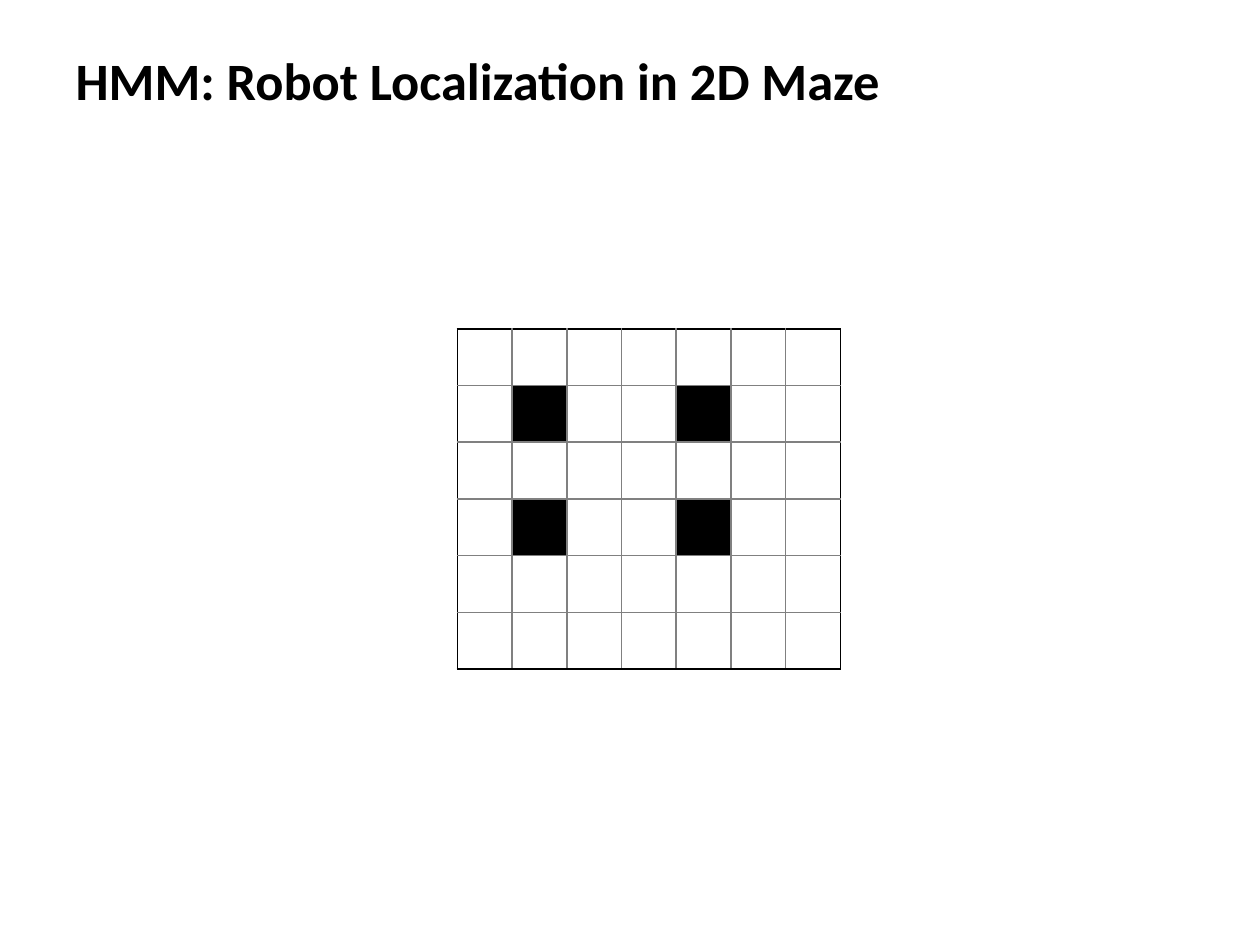
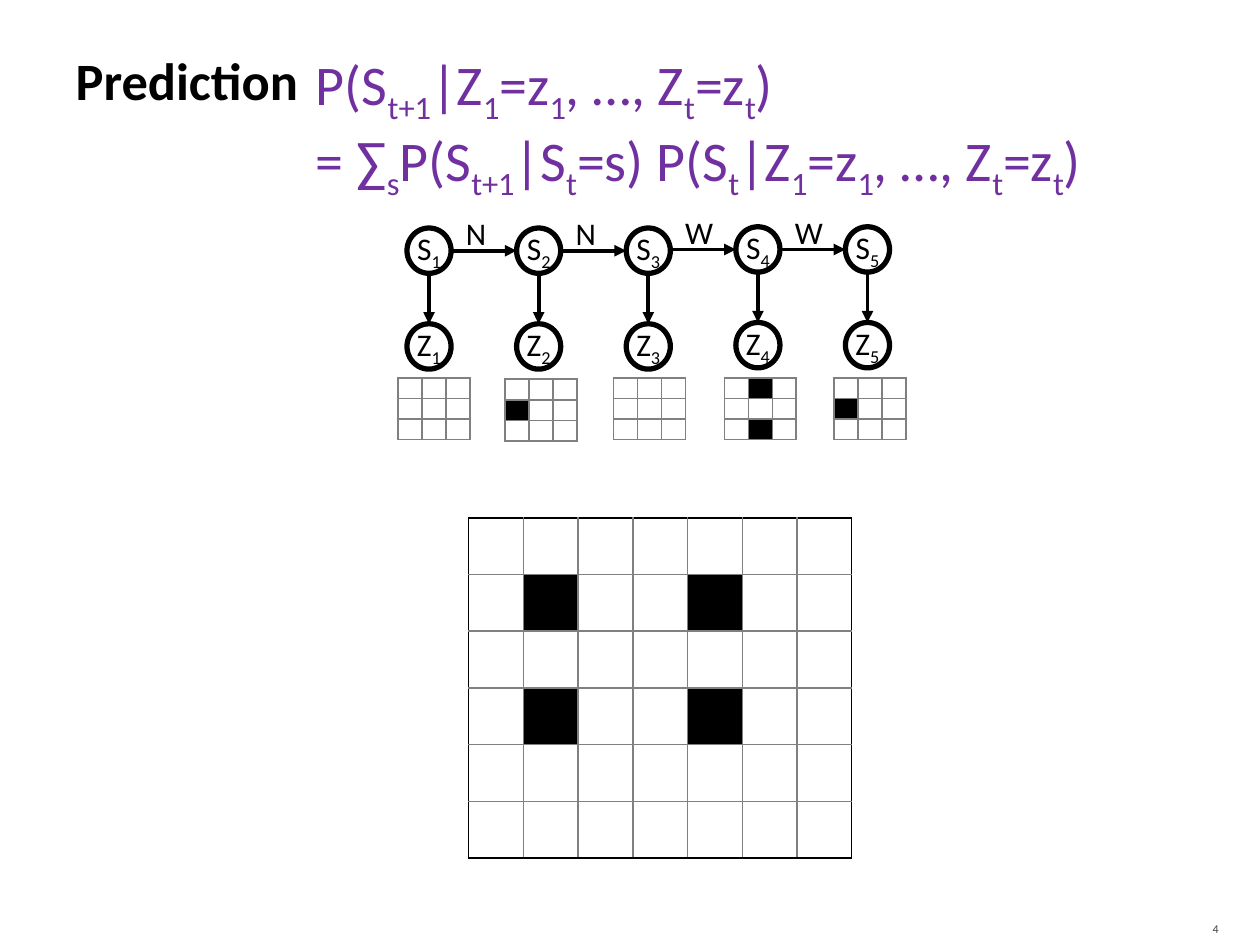
from dataclasses import dataclass

from lxml.etree import SubElement
from pptx import Presentation
from pptx.dml.color import RGBColor
from pptx.enum.shapes import MSO_CONNECTOR, MSO_SHAPE
from pptx.enum.text import MSO_ANCHOR as Anchor, MSO_AUTO_SIZE as AutoSize, PP_ALIGN as Align
from pptx.oxml.ns import qn
from pptx.util import Inches, Pt


@dataclass(frozen=True)
class Theme:
    font: str = "Calibri"
    ink: str = "000000"
    paper: str = "FFFFFF"
    grid: str = "808080"
    formula: str = "7030A0"
    page_number: str = "454545"
    title_size: float = 30
    formula_size: float = 32
    label_size: float = 18
    number_size: float = 6.8


theme = Theme()


def write(frame, text, size=theme.label_size, color=theme.ink, bold=False, align=Align.LEFT,
          anchor=Anchor.TOP, margins=(0.1, 0.05, 0.1, 0.05), wrap=True, auto_size=AutoSize.NONE):
    """Fill a text frame; pieces between underscores become subscripts."""
    frame.word_wrap = wrap
    frame.auto_size = auto_size
    frame.vertical_anchor = anchor
    (frame.margin_left, frame.margin_top,
     frame.margin_right, frame.margin_bottom) = map(Inches, margins)
    for index, line in enumerate(text.split("\n")):
        paragraph = frame.add_paragraph() if index else frame.paragraphs[0]
        paragraph.alignment = align
        for position, piece in enumerate(line.split("_")):
            if not piece:
                continue
            run = paragraph.add_run()
            run.text = piece
            run.font.name, run.font.size, run.font.bold = theme.font, Pt(size), bold
            run.font.color.rgb = RGBColor.from_string(color)
            if position % 2:
                run.font._element.set("baseline", "-25000")


def add_grid(slide, left, top, width, height, rows, columns, walls, outline):
    """Draw a grid of empty cells, black where (row, column) is a wall."""
    table = slide.shapes.add_table(rows, columns, Inches(left), Inches(top),
                                   Inches(width), Inches(height)).table
    table.first_row = table.horz_banding = False
    for column in table.columns:
        column.width = Inches(width / columns)
    for row_index, row in enumerate(table.rows):
        row.height = Inches(height / rows)
        for column_index, cell in enumerate(row.cells):
            cell.margin_left = cell.margin_right = cell.margin_top = cell.margin_bottom = 0
            paragraph = cell.text_frame.paragraphs[0]
            SubElement(paragraph._p, qn("a:endParaRPr"), sz="600")
            on_edge = {"L": column_index == 0, "R": column_index == columns - 1,
                       "T": row_index == 0, "B": row_index == rows - 1}
            properties = cell._tc.get_or_add_tcPr()
            for side, is_edge in on_edge.items():
                border = SubElement(properties, qn(f"a:ln{side}"), w=str(Pt(1)))
                SubElement(SubElement(border, qn("a:solidFill")), qn("a:srgbClr"),
                           val=outline if is_edge else theme.grid)
            cell.fill.solid()
            is_wall = (row_index, column_index) in walls
            cell.fill.fore_color.rgb = RGBColor.from_string(theme.ink if is_wall else theme.paper)


presentation = Presentation()
presentation.slide_width, presentation.slide_height = Inches(10), Inches(7.5)

# Both slides: title and maze
maze_walls = {(row, column) for row in (1, 3) for column in (1, 4)}
for title_text, maze_left, maze_top in [
    ("HMM: Robot Localization in 2D Maze", 3.63, 2.61),
    ("Prediction", 3.72, 4.11),
]:
    slide = presentation.slides.add_slide(presentation.slide_layouts[5])
    title = slide.shapes.title
    title.left, title.top, title.width, title.height = map(Inches, (0.5, 0.17, 9, 0.92))
    write(title.text_frame, title_text, size=theme.title_size, bold=True,
          anchor=Anchor.MIDDLE, margins=(0.1, 0.05, 0.05, 0.05))
    add_grid(slide, maze_left, maze_top, 3.04, 2.7, 6, 7, maze_walls, theme.ink)

# Prediction slide: formula and page number
formula = slide.shapes.add_textbox(Inches(2.41), Inches(0.34), Inches(7.2), Inches(1.18))
write(formula.text_frame,
      "P(S_t+1_|Z_1_=z_1_, …, Z_t_=z_t_)\n"
      "= ∑_s_P(S_t+1_|S_t_=s) P(S_t_|Z_1_=z_1_, …, Z_t_=z_t_)",
      size=theme.formula_size, color=theme.formula, auto_size=AutoSize.SHAPE_TO_FIT_TEXT)
page_number = slide.shapes.add_textbox(Inches(8.97), Inches(7.2), Inches(0.8), Inches(0.3))
write(page_number.text_frame, "4", size=theme.number_size, color=theme.page_number,
      align=Align.RIGHT, anchor=Anchor.MIDDLE, margins=(0.1, 0.05, 0.1, 0))

# Hidden Markov chain: states, observations, moves and sensor readings
node_width, node_height = 0.35, 0.36
chain_left, node_pitch, level_pitch = 3.23, 0.87, 0.76
steps = [  # state top, move into the state, its label width, reading left, top, walls
    (1.81, None, 0, 3.16, 3, set()),
    (1.81, "N", 0.36, 4.01, 3.01, {(1, 0)}),
    (1.81, "N", 0.36, 4.87, 3, set()),
    (1.8, "W", 0.43, 5.75, 3, {(0, 1), (2, 1)}),
    (1.8, "W", 0.43, 6.62, 3, {(1, 0)}),
]
for index, (top, move, label_width, reading_left, reading_top, walls) in enumerate(steps):
    left = chain_left + index * node_pitch
    for letter, node_top in (("S", top), ("Z", top + level_pitch)):
        node = slide.shapes.add_shape(MSO_SHAPE.OVAL, Inches(left), Inches(node_top),
                                      Inches(node_width), Inches(node_height))
        node.shadow.inherit = False
        node.fill.background()
        node.line.color.rgb = RGBColor.from_string(theme.ink)
        node.line.width = Pt(3)
        write(node.text_frame, f"{letter}_{index + 1}_", align=Align.CENTER,
              anchor=Anchor.MIDDLE, margins=(0, 0, 0, 0))

    center_x, center_y = left + node_width / 2, top + node_height / 2
    arrows = [(center_x, top + node_height, center_x, top + level_pitch)]
    if move:
        previous_right = left - node_pitch + node_width
        arrows.append((previous_right, center_y, left, center_y))
        label = slide.shapes.add_textbox(Inches(previous_right + 0.02), Inches(top - 0.16),
                                         Inches(label_width), Inches(0.4))
        write(label.text_frame, move, wrap=False, auto_size=AutoSize.SHAPE_TO_FIT_TEXT)
    for ends in arrows:
        arrow = slide.shapes.add_connector(MSO_CONNECTOR.STRAIGHT, *map(Inches, ends))
        arrow.line.color.rgb = RGBColor.from_string(theme.ink)
        arrow.line.width = Pt(2.25)
        properties = arrow._element.spPr
        SubElement(properties.find(qn("a:ln")), qn("a:tailEnd"), type="triangle")
        SubElement(properties, qn("a:effectLst"))

    add_grid(slide, reading_left, reading_top, 0.57, 0.49, 3, 3, walls, theme.grid)

presentation.save("out.pptx")
